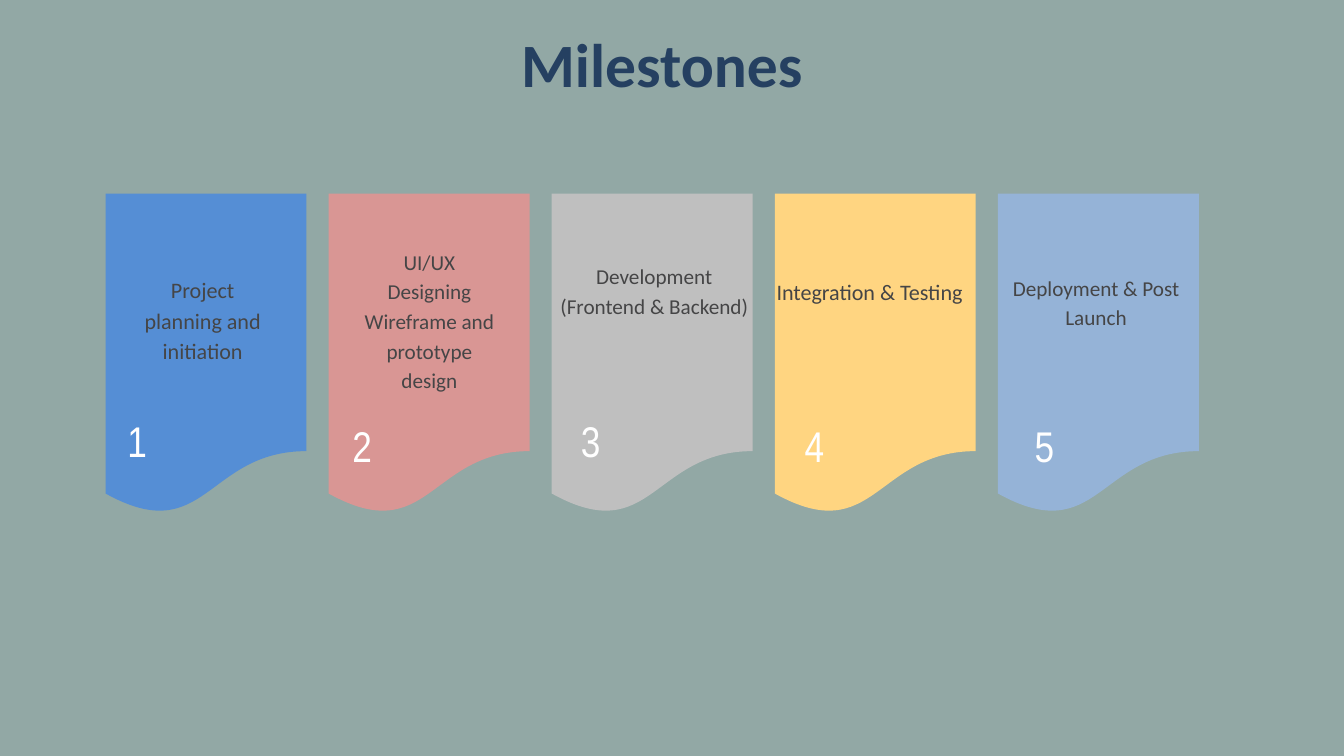
"""Build the Milestones slide: five numbered banners under a title."""
from dataclasses import dataclass

import pptx
import pptx.dml.color
import pptx.enum.shapes
import pptx.enum.text
import pptx.util

Inches = pptx.util.Inches
Pt = pptx.util.Pt
RGB = pptx.dml.color.RGBColor.from_string


@dataclass(frozen=True)
class Theme:
    background: str = "92A8A5"
    title: str = "254061"
    label: str = "454546"
    number: str = "FFFFFF"
    banners: tuple = ("558ED5", "D99694", "BFBFBF", "FFD581", "95B3D7")
    body_font: str = "Calibri"
    number_font: str = "Arial Narrow"
    title_size: float = 66
    large_size: float = 23.7
    small_size: float = 22.7
    number_size: float = 46


THEME = Theme()
BANNER_LEFT, BANNER_TOP, BANNER_PITCH = 1.57, 2.88, 3.32
BANNER_SIZE = (2.99, 4.78)
NUMBER_SIZE = (0.58, 0.84)

MILESTONES = [
    (("Project", "planning and initiation"), (1.52, 4.04, 2.99, 1.83),
     THEME.large_size, (1.75, 6.04)),
    (("UI/UX", "Designing", "Wireframe and prototype", "design"),
     (4.81, 3.64, 3.16, 2.67), THEME.small_size, (5.1, 6.11)),
    (("Development (Frontend & Backend)",), (8.27, 3.86, 2.93, 1.77),
     THEME.small_size, (8.5, 6.04)),
    (("Integration & Testing",), (11.36, 4.07, 3.16, 1.37),
     THEME.large_size, (11.83, 6.11)),
    (("Deployment & Post Launch",), (14.73, 4.03, 3.16, 0.87),
     THEME.small_size, (15.25, 6.11)),
]


def write_text(sp, lines, *, size, color, spacing, font=THEME.body_font, bold=False):
    tf = sp.text_frame
    tf.word_wrap = True
    tf.auto_size = pptx.enum.text.MSO_AUTO_SIZE.NONE
    tf.vertical_anchor = pptx.enum.text.MSO_ANCHOR.TOP
    tf.margin_left = tf.margin_top = tf.margin_right = tf.margin_bottom = 0
    for i, line in enumerate(lines):
        p = tf.paragraphs[0] if i == 0 else tf.add_paragraph()
        p.alignment = pptx.enum.text.PP_ALIGN.CENTER
        p.line_spacing = Pt(spacing)
        p.space_before = Pt(0)
        r = p.add_run()
        r.text = line
        r.font.name = font
        r.font.size = Pt(size)
        r.font.bold = bold
        r.font.color.rgb = RGB(color)


def add_title(s, text):
    sp = s.shapes.title
    sp.left, sp.top = Inches(0.81), Inches(0.65)
    sp.width, sp.height = Inches(18.08), Inches(0.88)
    write_text(sp, [text], size=THEME.title_size, color=THEME.title,
               spacing=60, bold=True)


def add_banner(s, index, color):
    left = BANNER_LEFT + index * BANNER_PITCH
    sp = s.shapes.add_shape(
        pptx.enum.shapes.MSO_SHAPE.FLOWCHART_DOCUMENT,
        *map(Inches, (left, BANNER_TOP, *BANNER_SIZE)))
    sp.shadow.inherit = False
    sp.fill.solid()
    sp.fill.fore_color.rgb = RGB(color)
    sp.line.fill.background()


def add_text(s, box, lines, **text_format):
    sp = s.shapes.add_textbox(*map(Inches, box))
    write_text(sp, lines, **text_format)


def main():
    prs = pptx.Presentation()
    prs.slide_width, prs.slide_height = Inches(20), Inches(11.25)
    s = prs.slides.add_slide(prs.slide_layouts[5])
    s.background.fill.solid()
    s.background.fill.fore_color.rgb = RGB(THEME.background)
    add_title(s, "Milestones")
    for i, (lines, box, size, number_at) in enumerate(MILESTONES):
        add_banner(s, i, THEME.banners[i])
        add_text(s, box, lines, size=size, color=THEME.label,
                 spacing=round(size * 1.4, 1))
        add_text(s, (*number_at, *NUMBER_SIZE), [str(i + 1)],
                 size=THEME.number_size, color=THEME.number,
                 spacing=64.4, font=THEME.number_font)
    prs.save("out.pptx")


if __name__ == "__main__":
    main()
